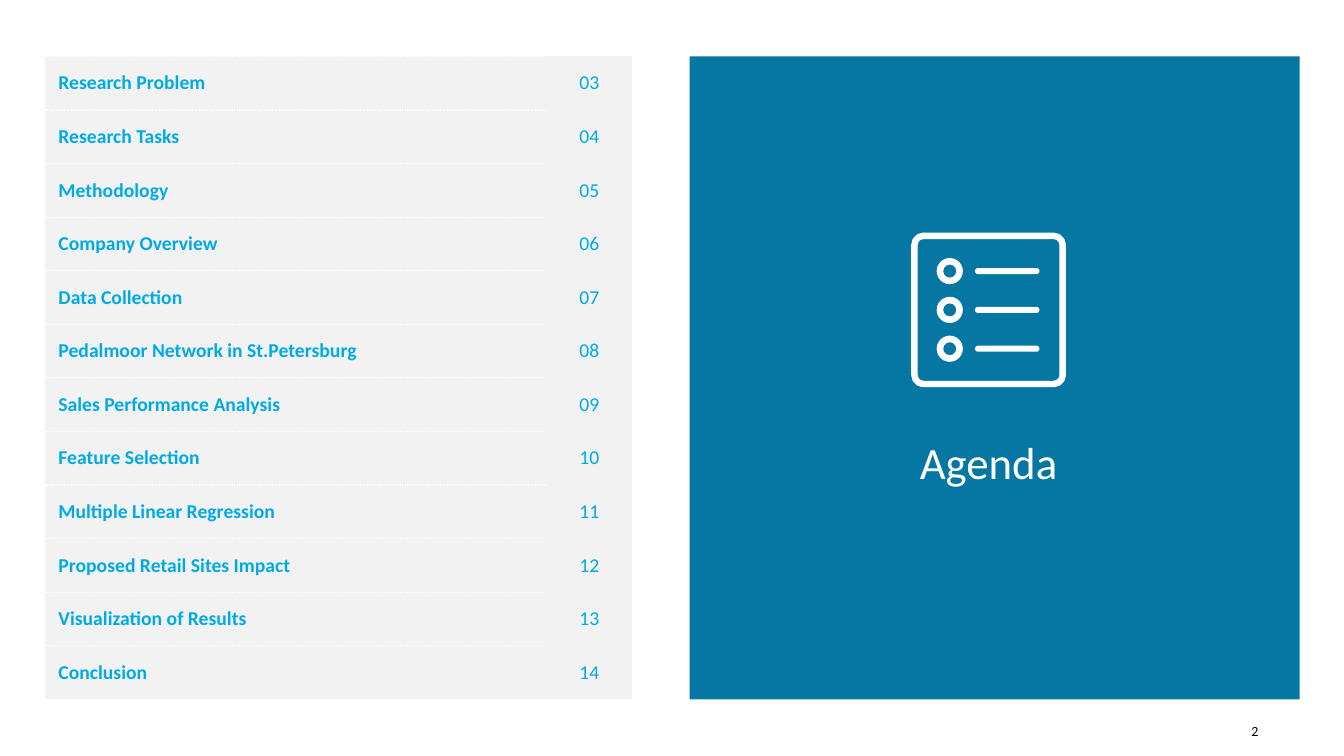
"""Build the agenda slide: a table of topics beside a titled panel with a list icon."""
from dataclasses import dataclass

from lxml.etree import SubElement
from pptx import Presentation
from pptx.dml.color import RGBColor
from pptx.enum.shapes import MSO_SHAPE
from pptx.enum.text import MSO_ANCHOR, MSO_AUTO_SIZE, PP_ALIGN
from pptx.oxml.ns import qn
from pptx.shapes.autoshape import Shape
from pptx.slide import Slide
from pptx.table import _Cell
from pptx.text.text import _Paragraph
from pptx.util import Inches, Pt

WHITE, BLACK, TEAL, SKY, GREY = "FFFFFF", "000000", "0676A3", "00AAE5", "F2F2F2"
TOP, HEIGHT = 0.56, 6.38
TOPICS = [
    "Research Problem", "Research Tasks", "Methodology", "Company Overview",
    "Data Collection", "Pedalmoor Network in St.Petersburg",
    "Sales Performance Analysis", "Feature Selection",
    "Multiple Linear Regression", "Proposed Retail Sites Impact",
    "Visualization of Results", "Conclusion",
]


@dataclass
class Form:
    """A preset shape with its box, colours and corner or ring setting."""
    kind: MSO_SHAPE
    box: tuple[float, float, float, float]
    fill: str | None = WHITE
    line: float = 0
    adjust: float | None = None


@dataclass
class Label:
    """A text box with its wording and format."""
    text: str
    box: tuple[float, float, float, float]
    size: int
    hue: str
    align: PP_ALIGN
    frame: dict


def tint(code: str) -> RGBColor:
    """Turn a hex string into a colour."""
    return RGBColor.from_string(code)


def apply(target: object, values: dict) -> None:
    """Set each named value on the target."""
    for name, value in values.items():
        setattr(target, name, value)


def write(para: _Paragraph, text: str, size: int, hue: str,
          align: PP_ALIGN, bold: bool = False) -> None:
    """Put one styled run into a paragraph."""
    para.alignment = align
    run = para.add_run()
    run.text = text
    apply(run.font, {"name": "Calibri", "size": Pt(size), "bold": bold})
    run.font.color.rgb = tint(hue)


def draw_form(shapes: object, form: Form) -> Shape:
    """Draw a preset shape on the slide or in a group."""
    shape = shapes.add_shape(form.kind, *map(Inches, form.box))
    shape.shadow.inherit = False
    if form.adjust is not None:
        shape.adjustments[0] = form.adjust
    if form.fill:
        shape.fill.solid()
        shape.fill.fore_color.rgb = tint(form.fill)
    else:
        shape.fill.background()
    if form.line:
        shape.line.width = Pt(form.line)
        shape.line.color.rgb = tint(WHITE)
    else:
        shape.line.fill.background()
    return shape


def draw_label(slide: Slide, label: Label) -> None:
    """Draw a text box."""
    frame = slide.shapes.add_textbox(*map(Inches, label.box)).text_frame
    apply(frame, {"word_wrap": True, **label.frame})
    write(frame.paragraphs[0], label.text, label.size, label.hue, label.align)


def edge_cell(cell: _Cell, dotted: bool) -> None:
    """Give a cell dotted white rules above and below, or no rules."""
    props = cell._tc.get_or_add_tcPr()
    for place, side in enumerate("LRTB"):
        line = SubElement(props, qn(f"a:ln{side}"), w=str(Pt(1)))
        props.insert(place, line)
        if dotted and side in "TB":
            fill = SubElement(line, qn("a:solidFill"))
            SubElement(fill, qn("a:srgbClr"), val=WHITE)
            SubElement(line, qn("a:prstDash"), val="sysDot")
        else:
            SubElement(line, qn("a:noFill"))


def draw_table(slide: Slide) -> None:
    """Draw the topics with their page numbers."""
    count = len(TOPICS)
    table = slide.shapes.add_table(
        count, 2, *map(Inches, (0.45, TOP, 5.82, HEIGHT))).table
    apply(table, {"first_row": False, "horz_banding": False})
    for column, width in zip(table.columns, (4.97, 0.85)):
        column.width = Inches(width)
    sides = ("left", "right", "top", "bottom")
    layout = {f"margin_{side}": Inches(0.13) for side in sides}
    layout["vertical_anchor"] = MSO_ANCHOR.MIDDLE
    for index, topic in enumerate(TOPICS):
        table.rows[index].height = Inches(HEIGHT / count)
        parts = ((topic, PP_ALIGN.LEFT, True),
                 (f"{index + 3:02}", PP_ALIGN.CENTER, False))
        for col, (text, align, main) in enumerate(parts):
            cell = table.cell(index, col)
            apply(cell, layout)
            cell.fill.solid()
            cell.fill.fore_color.rgb = tint(GREY)
            edge_cell(cell, main)
            write(cell.text_frame.paragraphs[0], text, 14, SKY, align, main)


def draw_icon(slide: Slide) -> None:
    """Draw a framed list of three rings and bars as one group."""
    forms = [Form(MSO_SHAPE.ROUNDED_RECTANGLE, (9.07, 2.34, 1.47, 1.47),
                  None, 4.6, 0.06)]
    for row in range(3):
        middle = 2.69 + row * 0.385
        forms += [
            Form(MSO_SHAPE.DONUT, (9.29, middle - 0.13, 0.26, 0.26), adjust=0.25),
            Form(MSO_SHAPE.ROUNDED_RECTANGLE,
                 (9.67, middle - 0.03, 0.64, 0.06), adjust=0.5),
        ]
    group = slide.shapes.add_group_shape()
    for form in forms:
        draw_form(group.shapes, form)


def main() -> None:
    """Build and save the slide."""
    deck = Presentation()
    apply(deck, {"slide_width": Inches(13.33), "slide_height": Inches(7.5)})
    slide = deck.slides.add_slide(deck.slide_layouts[6])
    draw_form(slide.shapes, Form(MSO_SHAPE.RECTANGLE, (6.84, TOP, 6.05, HEIGHT), TEAL))
    draw_table(slide)
    draw_icon(slide)
    title = {
        "margin_left": 0, "margin_right": 0, "margin_top": 0, "margin_bottom": 0,
        "vertical_anchor": MSO_ANCHOR.MIDDLE,
        "auto_size": MSO_AUTO_SIZE.SHAPE_TO_FIT_TEXT,
    }
    labels = [
        Label("Agenda", (7.36, 4.31, 4.89, 0.54), 32, WHITE, PP_ALIGN.CENTER, title),
        Label("2", (9.58, 7.12, 3, 0.4), 10, BLACK, PP_ALIGN.RIGHT, {}),
    ]
    for label in labels:
        draw_label(slide, label)
    deck.save("out.pptx")


if __name__ == "__main__":
    main()
